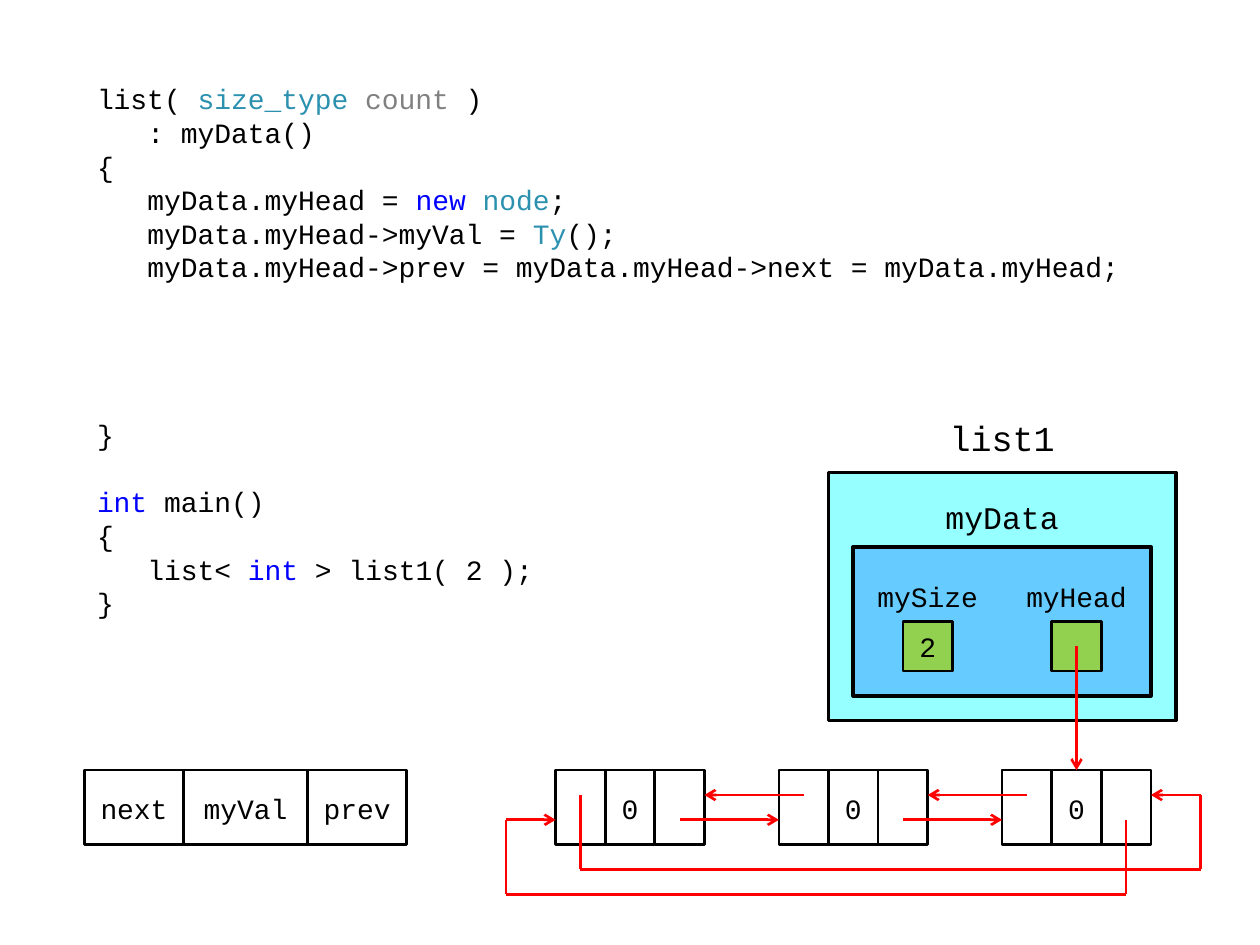
import pptx
import pptx.util
import pptx.dml.color
import pptx.enum.shapes
import pptx.enum.text
import pptx.oxml
import pptx.oxml.ns
from dataclasses import dataclass
from lxml import etree

Inches, Pt = pptx.util.Inches, pptx.util.Pt
Kind = pptx.enum.shapes.MSO_SHAPE
Text = pptx.enum.text
qn = pptx.oxml.ns.qn


@dataclass
class Theme:
    font: str = "Courier New"
    code: int = 16
    label: int = 18
    title: int = 20
    thin: float = 1.5
    thick: float = 2.25
    black: str = "000000"
    key: str = "0000FF"
    type: str = "2B91AF"
    arg: str = "808080"
    link: str = "FF0000"
    outer: str = "96FFFF"
    inner: str = "66CCFF"
    cell: str = "92D050"


theme = Theme()
rgb = pptx.dml.color.RGBColor.from_string

# The diagram sits on a grid of 5 mm steps.
LEFT, TOP, STEP = 0.67, 3.16, 5 / 25.4

deck = pptx.Presentation()
deck.slide_width, deck.slide_height = Inches(10), Inches(7.5)
slide = deck.slides.add_slide(deck.slide_layouts[1])
title = slide.shapes.title
title.element.getparent().remove(title.element)


def add_box(col, row, wide, high, text="", fill=None, line=theme.thin,
            size=theme.code, kind=Kind.RECTANGLE, pad=(0.06, 0.04)):
    """Add a grid-aligned box; pad is the top and bottom text inset."""
    box = slide.shapes.add_shape(
        kind, Inches(LEFT + col * STEP), Inches(TOP + row * STEP),
        Inches(wide * STEP), Inches(high * STEP))
    box.shadow.inherit = False
    if fill:
        box.fill.solid()
        box.fill.fore_color.rgb = rgb(fill)
    else:
        box.fill.background()
    if line:
        box.line.color.rgb = rgb(theme.black)
        box.line.width = Pt(line)
    else:
        box.line.fill.background()
    if text:
        frame = box.text_frame
        frame.vertical_anchor = Text.MSO_ANCHOR.MIDDLE
        frame.margin_left = frame.margin_right = Inches(0.04)
        frame.margin_top, frame.margin_bottom = map(Inches, pad)
        para = frame.paragraphs[0]
        para.text = text
        para.alignment = Text.PP_ALIGN.CENTER
        para.font.name, para.font.size = theme.font, Pt(size)
        para.font.color.rgb = rgb(theme.black)


def add_route(*points):
    """Join grid points with red lines, the last one ending in an arrow."""
    for start, end in zip(points, points[1:]):
        ends = [Inches(base + n * STEP) for point in (start, end)
                for base, n in zip((LEFT, TOP), point)]
        line = slide.shapes.add_connector(
            pptx.enum.shapes.MSO_CONNECTOR.STRAIGHT, *ends)
        line.line.color.rgb = rgb(theme.link)
        line.line.width = Pt(theme.thin)
        if end == points[-1]:
            etree.SubElement(line.line._get_or_add_ln(), qn("a:tailEnd"),
                             type="arrow")
        etree.SubElement(line.element.spPr, qn("a:effectLst"))


# Code: indent level, blank lines above, then text runs with their colours.
black, key, kind = theme.black, theme.key, theme.type
code = [
    (0, 0, [("list( ", black), ("size_type ", kind), ("count", theme.arg),
            (" )", black)]),
    (1, 0, [(": myData()", black)]),
    (0, 0, [("{", black)]),
    (1, 0, [("myData.myHead = ", black), ("new ", key), ("node", kind),
            (";", black)]),
    (1, 0, [("myData.myHead->myVal = ", black), ("Ty", kind),
            ("();", black)]),
    (1, 0, [("myData.myHead->prev = myData.myHead->next = myData.myHead;",
             black)]),
    (0, 4, [("}", black)]),
    (0, 1, [("int", key), (" main()", black)]),
    (0, 0, [("{", black)]),
    (1, 0, [("list< ", black), ("int", key), (" > list1( 2 );", black)]),
    (0, 0, [("}", black)]),
]
pitch = 1.2 * theme.code
body = slide.placeholders[1]
body.left, body.top = Inches(LEFT), Inches(0.6)
body.width, body.height = Inches(8.66), Inches(4.33)
frame = body.text_frame
frame.auto_size = Text.MSO_AUTO_SIZE.NONE
frame.word_wrap = True
frame.vertical_anchor = Text.MSO_ANCHOR.TOP
for i, (level, gap, runs) in enumerate(code):
    para = frame.add_paragraph() if i else frame.paragraphs[0]
    para.line_spacing = Pt(pitch)
    para.space_before, para.space_after = Pt(gap * pitch), Pt(0)
    para.font.name, para.font.size = theme.font, Pt(theme.code)
    props = para._p.get_or_add_pPr()
    props.set("marL", str(Inches(0.4 * level)))
    props.set("indent", "0")
    props.insert_element_before(pptx.oxml.parse_xml(
        '<a:buNone xmlns:a="%s"/>' % pptx.oxml.ns.nsdecls("a").split('"')[1]),
        "a:tabLst", "a:defRPr", "a:extLst")
    for text, color in runs:
        run = para.add_run()
        run.text = text
        run.font.color.rgb = rgb(color)

# Legend of node fields
for col, wide, name in [(0, 4, "next"), (4, 5, "myVal"), (9, 4, "prev")]:
    add_box(col, 15, wide, 3, name)

# Linked nodes
nodes = [19, 28, 37]
for col in nodes:
    for part, text in enumerate(["", "0", ""]):
        add_box(col + 2 * part, 15, 2, 3, text)
for col, after in zip(nodes, nodes[1:]):
    add_route((col + 5, 17), (after, 17))
    add_route((after + 1, 16), (col + 6, 16))
add_route((42, 17), (42, 20), (17, 20), (17, 17), (19, 17))
add_route((20, 16), (20, 19), (45, 19), (45, 16), (43, 16))

# The list object
flow = Kind.FLOWCHART_PROCESS
add_box(30, 3, 14, 10, fill=theme.outer, line=theme.thick, kind=flow)
add_box(31, 6, 12, 6, fill=theme.inner, line=theme.thick, kind=flow)
add_box(34, 0, 6, 3, "list1", line=None, size=theme.title, pad=(0.04, 0))
add_box(34, 3, 6, 3, "myData", line=None, size=theme.label, pad=(0.12, 0))
for col, name, value in [(31, "mySize", "2"), (37, "myHead", "")]:
    add_box(col, 7, 6, 2, name, line=None, kind=flow, pad=(0.05, 0.05))
    add_box(col + 2, 9, 2, 2, value, fill=theme.cell, pad=(0.05, 0.05))
add_route((40, 10), (40, 15))

deck.save("out.pptx")
